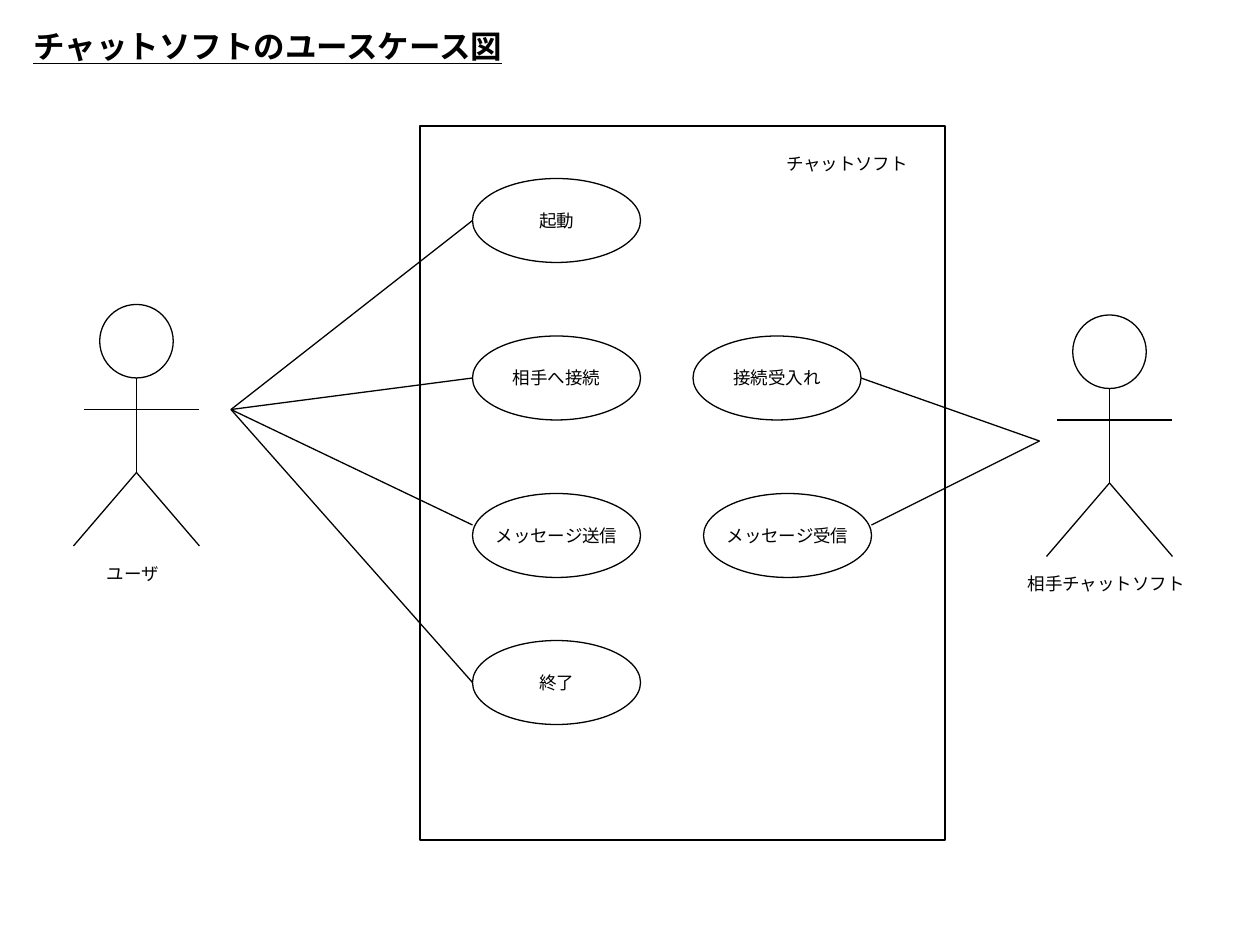
"""Build the use case diagram of a chat program on a grid of 120 by 90 cells."""
import dataclasses
import typing

import lxml.etree
import pptx
import pptx.dml.color
import pptx.enum.lang
import pptx.enum.shapes
import pptx.enum.text
import pptx.oxml.ns
import pptx.shapes.autoshape
import pptx.shapes.shapetree
import pptx.util

CELLS_PER_INCH = 12
COLUMNS, ROWS = 120, 90
CASE_WIDTH, CASE_HEIGHT = 16, 8
LABEL_HEIGHT = 3.24

Canvas = pptx.shapes.shapetree.SlideShapes | pptx.shapes.shapetree.GroupShapes
Outlined = pptx.shapes.autoshape.Shape
SHAPE = pptx.enum.shapes.MSO_SHAPE
ALIGN = pptx.enum.text.PP_ALIGN


@dataclasses.dataclass(frozen=True)
class Theme:
    ink: pptx.dml.color.RGBColor = pptx.dml.color.RGBColor(0, 0, 0)
    label_font: str = "Arial"
    case_font: str = "Noto Sans CJK JP"
    title_size: float = 18
    label_size: float = 10
    line_width: float = 0.75


class Point(typing.NamedTuple):
    column: float
    row: float


class Box(typing.NamedTuple):
    column: float
    row: float
    width: float
    height: float


@dataclasses.dataclass(frozen=True)
class UseCase:
    name: str
    column: float
    row: float


@dataclasses.dataclass(frozen=True)
class Actor:
    name: str
    center: float
    head_top: float
    label_left: float
    label_width: float


@dataclasses.dataclass(frozen=True)
class Fan:
    hub: Point
    targets: tuple[Point, ...]


THEME = Theme()
SYSTEM = Box(40, 12, 50, 68)
USE_CASES = (
    UseCase("起動", 45, 17),
    UseCase("相手へ接続", 45, 32),
    UseCase("メッセージ送信", 45, 47),
    UseCase("メッセージ受信", 67, 47),
    UseCase("接続受入れ", 66, 32),
    UseCase("終了", 45, 61),
)
ACTORS = (
    Actor("ユーザ", 13, 29, 9, 7.32),
    Actor("相手チャットソフト", 105.67, 30, 96.72, 17.28),
)
FANS = (
    Fan(Point(22, 39), (Point(45, 21), Point(45, 36), Point(45, 50), Point(45, 65))),
    Fan(Point(99, 42), (Point(82, 36), Point(83, 50))),
)


def cells(*counts: float) -> list[pptx.util.Emu]:
    """Turn grid counts into lengths."""
    return [pptx.util.Inches(count / CELLS_PER_INCH) for count in counts]


def write(holder: Outlined, text: str, *, font: str, size: float = THEME.label_size,
          bold: bool = False, underline: bool = False, align: ALIGN = ALIGN.LEFT) -> None:
    """Write one unwrapped line of text in a shape."""
    holder.text_frame.word_wrap = False
    paragraph = holder.text_frame.paragraphs[0]
    paragraph.alignment = align
    run = paragraph.add_run()
    run.text = text
    run.font.name = font
    run.font.size = pptx.util.Pt(size)
    run.font.bold = bold
    run.font.underline = underline
    run.font.color.rgb = THEME.ink
    run.font.language_id = pptx.enum.lang.MSO_LANGUAGE_ID.JAPANESE
    east_asian = lxml.etree.SubElement(run.font._element, pptx.oxml.ns.qn("a:ea"))
    east_asian.set("typeface", font)


def draw_label(canvas: Canvas, text: str, box: Box, **text_format: typing.Any) -> None:
    """Draw a text box that fits its text."""
    label = canvas.add_textbox(*cells(*box))
    write(label, text, **text_format)
    label.text_frame.auto_size = pptx.enum.text.MSO_AUTO_SIZE.SHAPE_TO_FIT_TEXT


def draw_outline(canvas: Canvas, kind: SHAPE, box: Box) -> Outlined:
    """Draw an unfilled preset shape."""
    outline = canvas.add_shape(kind, *cells(*box))
    outline.shadow.inherit = False
    outline.fill.background()
    outline.line.color.rgb = THEME.ink
    outline.line.width = pptx.util.Pt(THEME.line_width)
    return outline


def draw_line(canvas: Canvas, start: Point, end: Point) -> None:
    """Draw a straight line between two grid points."""
    line = canvas.add_connector(pptx.enum.shapes.MSO_CONNECTOR.STRAIGHT, *cells(*start, *end))
    line.line.color.rgb = THEME.ink
    line.line.width = pptx.util.Pt(THEME.line_width)
    lxml.etree.SubElement(line._element.spPr, pptx.oxml.ns.qn("a:effectLst"))


def draw_system(canvas: Canvas) -> None:
    """Draw the system boundary and its name."""
    draw_outline(canvas, SHAPE.RECTANGLE, SYSTEM)
    draw_label(canvas, "チャットソフト", Box(73.68, 14, 14.04, LABEL_HEIGHT), font=THEME.label_font)


def draw_use_case(canvas: Canvas, case: UseCase) -> None:
    """Draw a use case ellipse with its name."""
    ellipse = draw_outline(canvas, SHAPE.OVAL, Box(case.column, case.row, CASE_WIDTH, CASE_HEIGHT))
    ellipse.text_frame.vertical_anchor = pptx.enum.text.MSO_ANCHOR.MIDDLE
    write(ellipse, case.name, font=THEME.case_font, align=ALIGN.CENTER)


def draw_actor(canvas: Canvas, actor: Actor) -> None:
    """Draw a stick figure with its name below."""
    center, top = actor.center, actor.head_top
    draw_outline(canvas, SHAPE.OVAL, Box(center - 3.5, top, 7, 7))
    hip = Point(center, top + 16)
    draw_line(canvas, Point(center - 5, top + 10), Point(center + 6, top + 10))
    draw_line(canvas, Point(center, top + 7), hip)
    for stride in (-6, 6):
        draw_line(canvas, hip, Point(center + stride, top + 23))
    draw_label(canvas, actor.name, Box(actor.label_left, top + 24, actor.label_width, LABEL_HEIGHT),
               font=THEME.label_font)


def main() -> None:
    """Build and save the slide."""
    deck = pptx.Presentation()
    deck.slide_width, deck.slide_height = cells(COLUMNS, ROWS)
    canvas = deck.slides.add_slide(deck.slide_layouts[6]).shapes
    draw_system(canvas.add_group_shape().shapes)
    draw_label(canvas, "チャットソフトのユースケース図", Box(2, 2, 47.4, 4.8), font=THEME.case_font,
               size=THEME.title_size, bold=True, underline=True)
    for case in USE_CASES:
        draw_use_case(canvas, case)
    for actor in ACTORS:
        draw_actor(canvas.add_group_shape().shapes, actor)
    for fan in FANS:
        for target in fan.targets:
            draw_line(canvas, fan.hub, target)
    deck.save("out.pptx")


if __name__ == "__main__":
    main()
